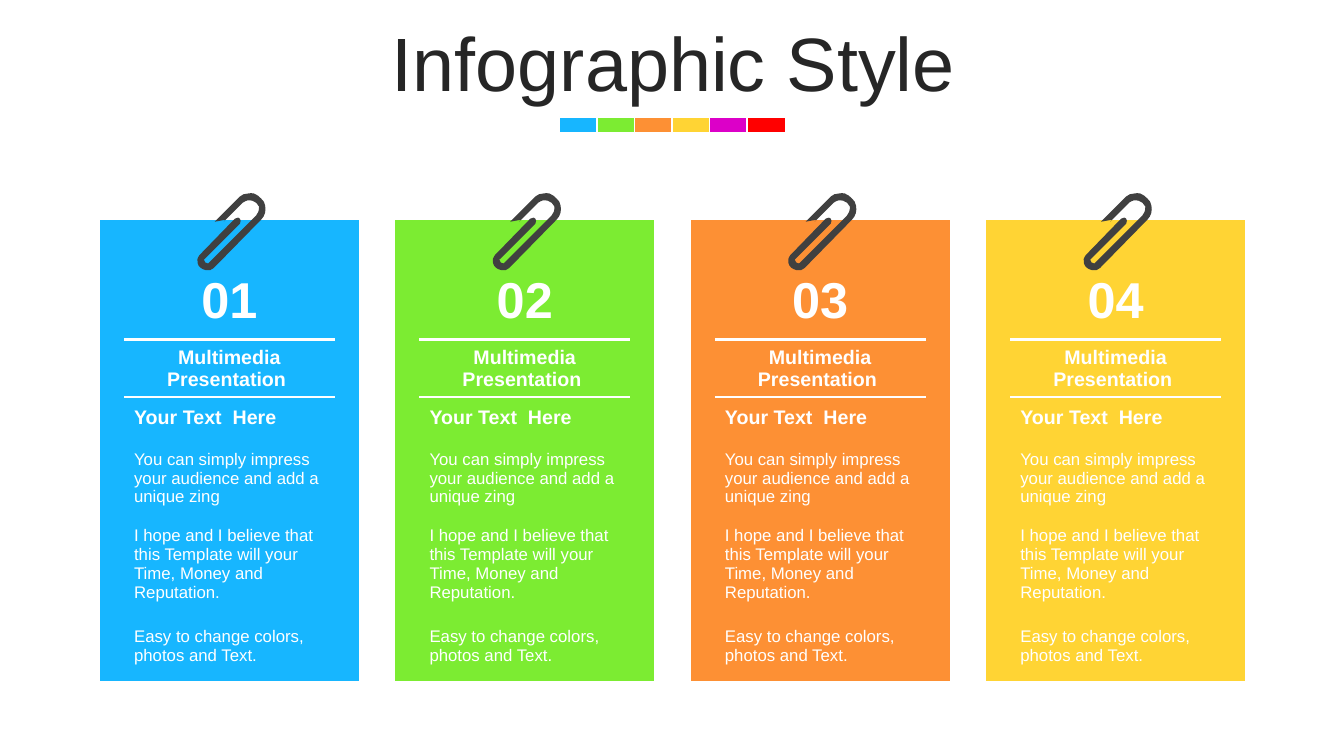
from lxml import etree
from pptx import Presentation
from pptx.dml.color import RGBColor
from pptx.enum.shapes import MSO_SHAPE
from pptx.enum.text import MSO_ANCHOR, PP_ALIGN
from pptx.oxml.ns import qn
from pptx.util import Inches, Pt

RECTANGLE = MSO_SHAPE.RECTANGLE
MIDDLE = MSO_ANCHOR.MIDDLE
CENTER, LEFT = PP_ALIGN.CENTER, PP_ALIGN.LEFT

BLUE = RGBColor(0x17, 0xB6, 0xFF)
GREEN = RGBColor(0x7C, 0xEC, 0x32)
ORANGE = RGBColor(0xFD, 0x90, 0x34)
YELLOW = RGBColor(0xFF, 0xD4, 0x34)
MAGENTA = RGBColor(0xDC, 0x00, 0xC8)
RED = RGBColor(0xFF, 0x00, 0x00)
WHITE = RGBColor(0xFF, 0xFF, 0xFF)
INK = RGBColor(0x26, 0x26, 0x26)
CLIP_GRAY = RGBColor(0x40, 0x40, 0x40)

FONT = "Arial"
NO_GRID_STYLE = "{2D5ABB26-0587-4C30-8999-92F81FD0307C}"
BORDER_SIDES = ("lnL", "lnR", "lnT", "lnB")
COLUMN_WIDTHS = (0.24, 2.09, 0.23)
ROW_HEIGHTS = (0.42, 0.77, 0.57, 0.41, 0.79, 0.92, 0.7)
CARD_ROWS = (
    ("Multimedia Presentation ", 14, True, CENTER, ("lnT", "lnB")),
    ("Your Text  Here", 14, True, LEFT, ("lnT",)),
    ("You can simply impress your audience and add a unique zing", 12, False, LEFT, ()),
    ("I hope and I believe that this Template will your Time, Money and Reputation.",
     12, False, LEFT, ()),
    ("Easy to change colors, photos and Text.", 12, False, LEFT, ()),
)

CLIP_START = (0.63, 0.09)
CLIP_OUTLINE = (
    (0.65, 0.08, 0.67, 0.09, 0.69, 0.09),
    (0.72, 0.1, 0.74, 0.12, 0.76, 0.14),
    (0.78, 0.16, 0.8, 0.18, 0.8, 0.21),
    (0.81, 0.26, 0.8, 0.31, 0.76, 0.35),
    (0.29, 0.83),
    (0.27, 0.85, 0.24, 0.86, 0.21, 0.85),
    (0.17, 0.84, 0.14, 0.82, 0.13, 0.78),
    (0.12, 0.75, 0.13, 0.73, 0.15, 0.7),
    (0.17, 0.68),
    (0.5, 0.34),
    (0.51, 0.33, 0.52, 0.33, 0.53, 0.33),
    (0.53, 0.33, 0.54, 0.33, 0.55, 0.34),
    (0.56, 0.35, 0.56, 0.37, 0.55, 0.39),
    (0.2, 0.74),
    (0.19, 0.74, 0.19, 0.75, 0.2, 0.76),
    (0.2, 0.77, 0.21, 0.78, 0.22, 0.78),
    (0.23, 0.79, 0.24, 0.78, 0.24, 0.78),
    (0.71, 0.31),
    (0.73, 0.29, 0.74, 0.26, 0.74, 0.22),
    (0.73, 0.19, 0.7, 0.17, 0.67, 0.16),
    (0.64, 0.15, 0.61, 0.16, 0.58, 0.18),
    (0.39, 0.37),
    (0.41, 0.35),
    (0.3, 0.37),
    (0.55, 0.12),
    (0.57, 0.1, 0.6, 0.09, 0.63, 0.09),
)


def style_paragraph(paragraph, size, color, bold, alignment):
    paragraph.alignment = alignment
    paragraph.font.name = FONT
    paragraph.font.size = Pt(size)
    paragraph.font.bold = bold
    paragraph.font.color.rgb = color


def add_title(slide, left, top, width, height):
    frame = slide.shapes.add_textbox(
        Inches(left), Inches(top), Inches(width), Inches(height)).text_frame
    frame.word_wrap = True
    frame.vertical_anchor = MIDDLE
    frame.margin_top = Inches(0.1)
    paragraph = frame.paragraphs[0]
    paragraph.text = "Infographic Style"
    paragraph.line_spacing = 0.9
    style_paragraph(paragraph, 54, INK, False, CENTER)


def add_color_strip(slide, left, top, width, height):
    colors = (BLUE, GREEN, ORANGE, YELLOW, MAGENTA, RED)
    swatch_width = 0.38
    pitch = (width - swatch_width) / (len(colors) - 1)
    for index, color in enumerate(colors):
        swatch = slide.shapes.add_shape(
            RECTANGLE, Inches(left + index * pitch), Inches(top),
            Inches(swatch_width), Inches(height))
        swatch.shadow.inherit = False
        swatch.fill.solid()
        swatch.fill.fore_color.rgb = color
        swatch.line.color.rgb = WHITE
        swatch.line.width = Pt(1)


def set_borders(cell, white_sides):
    properties = cell._tc.get_or_add_tcPr()
    for side in BORDER_SIDES:
        line = etree.SubElement(properties, qn(f"a:{side}"))
        if side in white_sides:
            line.set("w", str(Pt(2.25)))
            fill = etree.SubElement(line, qn("a:solidFill"))
            etree.SubElement(fill, qn("a:srgbClr"), val=str(WHITE))
        else:
            etree.SubElement(line, qn("a:noFill"))


def add_paperclip(slide, left, top):
    def place(x, y):
        return Inches(left + x), Inches(top + y)

    builder = slide.shapes.build_freeform(*place(*CLIP_START))
    builder.add_line_segments([place(*segment[-2:]) for segment in CLIP_OUTLINE], close=True)
    clip = builder.convert_to_shape()
    clip.shadow.inherit = False
    clip.fill.solid()
    clip.fill.fore_color.rgb = CLIP_GRAY
    clip.line.fill.background()

    line_elements = list(clip._element.iter(qn("a:lnTo")))
    for element, segment in zip(line_elements, CLIP_OUTLINE):
        if len(segment) == 2:
            continue
        element.tag = qn("a:cubicBezTo")
        for position, control in enumerate((segment[:2], segment[2:4])):
            x, y = place(*control)
            point = etree.Element(qn("a:pt"), x=str(x - clip.left), y=str(y - clip.top))
            element.insert(position, point)


def add_card(slide, left, top, number, color):
    table = slide.shapes.add_table(
        len(ROW_HEIGHTS), len(COLUMN_WIDTHS), Inches(left), Inches(top),
        Inches(sum(COLUMN_WIDTHS)), Inches(sum(ROW_HEIGHTS))).table
    table.first_row = False
    table.horz_banding = False
    table._tbl.tblPr.find(qn("a:tableStyleId")).text = NO_GRID_STYLE
    for column, width in zip(table.columns, COLUMN_WIDTHS):
        column.width = Inches(width)
    for row, height in zip(table.rows, ROW_HEIGHTS):
        row.height = Inches(height)

    rows = ((f"{number:02d}", 36, True, CENTER, ("lnB",)),) + CARD_ROWS
    for row_index, (text, size, bold, alignment, white_sides) in enumerate(rows, 1):
        cell = table.cell(row_index, 1)
        cell.text = text
        cell.vertical_anchor = MIDDLE
        style_paragraph(cell.text_frame.paragraphs[0], size, WHITE, bold, alignment)
        set_borders(cell, white_sides)
    for cell in table.iter_cells():
        cell.fill.solid()
        cell.fill.fore_color.rgb = color
    add_paperclip(slide, left + 0.84, top - 0.35)


def main():
    presentation = Presentation()
    presentation.slide_width = Inches(13.33)
    presentation.slide_height = Inches(7.5)
    slide = presentation.slides.add_slide(presentation.slide_layouts[6])
    add_color_strip(slide, 5.55, 1.16, 2.24, 0.16)
    add_title(slide, 0.35, 0.24, 12.66, 0.79)
    for index, color in enumerate((BLUE, GREEN, ORANGE, YELLOW)):
        add_card(slide, 0.99 + index * 2.93, 2.18, index + 1, color)
    presentation.save("out.pptx")


if __name__ == "__main__":
    main()
